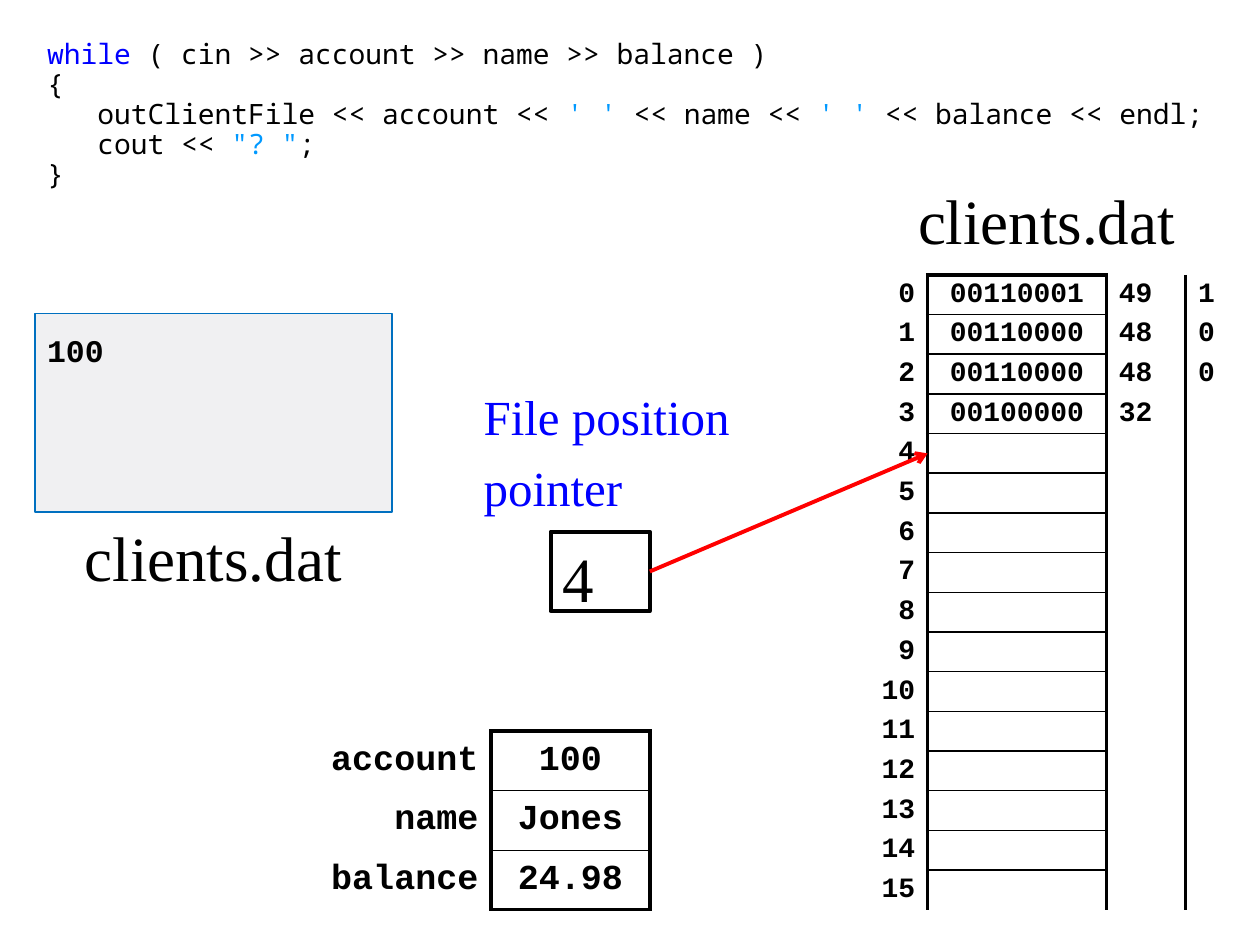
from dataclasses import dataclass

from lxml.etree import SubElement
from pptx import Presentation
from pptx.dml.color import RGBColor
from pptx.enum.shapes import MSO_CONNECTOR, MSO_SHAPE
from pptx.enum.text import MSO_ANCHOR, PP_ALIGN
from pptx.oxml.ns import qn
from pptx.util import Cm, Pt


@dataclass(frozen=True)
class Theme:
    black: str = "000000"
    keyword: str = "0000FF"
    literal: str = "0099FF"
    arrow: str = "FF0000"
    screen_fill: str = "F0F0F2"
    screen_line: str = "0070C0"
    code_font: str = "Noto Sans Mono"
    data_font: str = "Courier New"
    label_font: str = "Times New Roman"
    code_size: int = 16
    byte_size: int = 16
    screen_size: int = 18
    field_size: int = 20
    caption_size: int = 28
    label_size: int = 36
    thick: float = 2.25
    thin: float = 1


THEME = Theme()
NO_STYLE = "{2D5ABB26-0587-4C30-8999-92F81FD0307C}"
LEFT, CENTER, RIGHT = PP_ALIGN.LEFT, PP_ALIGN.CENTER, PP_ALIGN.RIGHT

CODE = [
    [("while", THEME.keyword), (" ( cin >> account >> name >> balance )", THEME.black)],
    [("{", THEME.black)],
    [("   outClientFile << account << ", THEME.black), ("' '", THEME.literal),
     (" << name << ", THEME.black), ("' '", THEME.literal),
     (" << balance << endl;", THEME.black)],
    [("   cout << ", THEME.black), ('"? "', THEME.literal), (";", THEME.black)],
    [("}", THEME.black)],
]
FIELDS = [("account", "100"), ("name", "Jones"), ("balance", "24.98")]
WRITTEN_BYTES = [("00110001", "49", "1"), ("00110000", "48", "0"),
                 ("00110000", "48", "0"), ("00100000", "32", "")]
BYTE_COUNT = 16
POSITION = 4
FILE_NAME = "clients.dat"
FILE_LABELS = [(17.9, 3.54), (1.1, 10.32)]

# Lengths in centimetres
FIELD_LEFT, FIELD_TOP, FIELD_ROW, FIELD_COLUMNS = 6.3, 14.74, 1.2, (3.6, 3.2)
BYTE_LEFT, BYTE_TOP, BYTE_ROW, BYTE_COLUMNS = 17.5, 5.54, 0.8, (1.2, 3.6, 1.6, 0.8)
POINTER_BOX = (11.1, 10.72, 2, 1.6)


def color(value):
    return RGBColor.from_string(value)


def style(paragraph, font, size, fill=THEME.black, bold=False, align=LEFT):
    paragraph.alignment = align
    paragraph.font.name = font
    paragraph.font.size = Pt(size)
    paragraph.font.bold = bold
    paragraph.font.color.rgb = color(fill)


def add_text_box(slide, left, top, width, height, wrap=True):
    frame = slide.shapes.add_textbox(Cm(left), Cm(top), Cm(width), Cm(height)).text_frame
    frame.word_wrap = wrap
    return frame


def add_box(slide, bounds, line, line_width, fill=None):
    shape = slide.shapes.add_shape(MSO_SHAPE.RECTANGLE, *map(Cm, bounds))
    shape.shadow.inherit = False
    if fill:
        shape.fill.solid()
        shape.fill.fore_color.rgb = color(fill)
    else:
        shape.fill.background()
    shape.line.color.rgb = color(line)
    shape.line.width = Pt(line_width)
    return shape.text_frame


def set_borders(cell, widths):
    """Draw cell borders; widths maps a side (L, R, T, B) to points."""
    properties = cell._tc.get_or_add_tcPr()
    for side in "LRTB":
        if side in widths:
            line = SubElement(properties, qn(f"a:ln{side}"), w=str(Pt(widths[side])))
            SubElement(SubElement(line, qn("a:solidFill")), qn("a:srgbClr"), val=THEME.black)


def add_memory_table(slide, left, top, columns, row_height, rows, aligns, size,
                     margin, closed):
    """Add a table whose second column is framed; closed draws its bottom edge."""
    table = slide.shapes.add_table(len(rows), len(columns), Cm(left), Cm(top),
                                   Cm(sum(columns)), Cm(row_height * len(rows))).table
    table.first_row = table.horz_banding = False
    table._tbl.tblPr.find(qn("a:tableStyleId")).text = NO_STYLE
    for column, width in zip(table.columns, columns):
        column.width = Cm(width)
    last = len(rows) - 1
    for y, values in enumerate(rows):
        table.rows[y].height = Cm(row_height)
        for x, (value, align) in enumerate(zip(values, aligns)):
            cell = table.cell(y, x)
            cell.text = value
            cell.vertical_anchor = MSO_ANCHOR.MIDDLE
            cell.margin_top = cell.margin_bottom = Cm(margin)
            paragraph = cell.text_frame.paragraphs[0]
            style(paragraph, THEME.data_font, size, bold=True, align=align)
            if not value:
                SubElement(paragraph._p, qn("a:endParaRPr"), sz=str(size * 100))
            if x == 0:
                set_borders(cell, {"R": THEME.thick})
            elif x == 1:
                widths = {"L": THEME.thick, "R": THEME.thick,
                          "T": THEME.thin if y else THEME.thick}
                if y < last or closed:
                    widths["B"] = THEME.thin if y < last else THEME.thick
                set_borders(cell, widths)
            elif x == 2:
                set_borders(cell, {"L": THEME.thick})
            cell.fill.background()


def add_code(slide):
    frame = add_text_box(slide, 0.7, 0.7, 24, 3.6)
    for index, runs in enumerate(CODE):
        paragraph = frame.add_paragraph() if index else frame.paragraphs[0]
        paragraph.line_spacing = 0.89
        paragraph.font.name = THEME.code_font
        paragraph.font.size = Pt(THEME.code_size)
        for text, fill in runs:
            run = paragraph.add_run()
            run.text = text
            run.font.color.rgb = color(fill)


def add_pointer(slide):
    caption = add_text_box(slide, 9.5, 7.52, 5.64, 3.2)
    caption.margin_top = Cm(0.27)
    caption.text = "File position\npointer"
    for paragraph in caption.paragraphs:
        style(paragraph, THEME.label_font, THEME.caption_size, THEME.keyword)
    caption.paragraphs[1].space_before = Pt(7)

    box = add_box(slide, POINTER_BOX, THEME.black, THEME.thick)
    box.margin_top = Cm(0.37)
    box.text = str(POSITION)
    style(box.paragraphs[0], THEME.label_font, THEME.label_size)

    left, top, width, height = POINTER_BOX
    arrow = slide.shapes.add_connector(
        MSO_CONNECTOR.STRAIGHT, Cm(left + width), Cm(top + height / 2),
        Cm(BYTE_LEFT + BYTE_COLUMNS[0]), Cm(BYTE_TOP + BYTE_ROW * (POSITION + 0.5)))
    arrow.line.color.rgb = color(THEME.arrow)
    arrow.line.width = Pt(THEME.thick)
    SubElement(arrow.line._get_or_add_ln(), qn("a:tailEnd"), type="arrow")
    SubElement(arrow._element.spPr, qn("a:effectLst"))


def add_screen(slide):
    frame = add_box(slide, (0.7, 6.32, 7.2, 4), THEME.screen_line, THEME.thin,
                    THEME.screen_fill)
    frame.vertical_anchor = MSO_ANCHOR.TOP
    frame.margin_top = Cm(0.36)
    frame.text = "100"
    style(frame.paragraphs[0], THEME.data_font, THEME.screen_size, bold=True)


def main():
    presentation = Presentation()
    presentation.slide_width, presentation.slide_height = Cm(25.4), Cm(19.05)
    slide = presentation.slides.add_slide(presentation.slide_layouts[6])

    add_code(slide)
    add_memory_table(slide, FIELD_LEFT, FIELD_TOP, FIELD_COLUMNS, FIELD_ROW, FIELDS,
                     (RIGHT, CENTER), THEME.field_size, 0.13, closed=True)
    unwritten = [("", "", "")] * (BYTE_COUNT - len(WRITTEN_BYTES))
    byte_rows = [(str(address), *values)
                 for address, values in enumerate(WRITTEN_BYTES + unwritten)]
    add_memory_table(slide, BYTE_LEFT, BYTE_TOP, BYTE_COLUMNS, BYTE_ROW, byte_rows,
                     (RIGHT, CENTER, LEFT, CENTER), THEME.byte_size, 0.05, closed=False)
    add_pointer(slide)
    add_screen(slide)
    for left, top in FILE_LABELS:
        label = add_text_box(slide, left, top, 6.4, 2, wrap=False)
        label.text = FILE_NAME
        style(label.paragraphs[0], THEME.label_font, THEME.label_size, align=CENTER)
    presentation.save("out.pptx")


if __name__ == "__main__":
    main()
